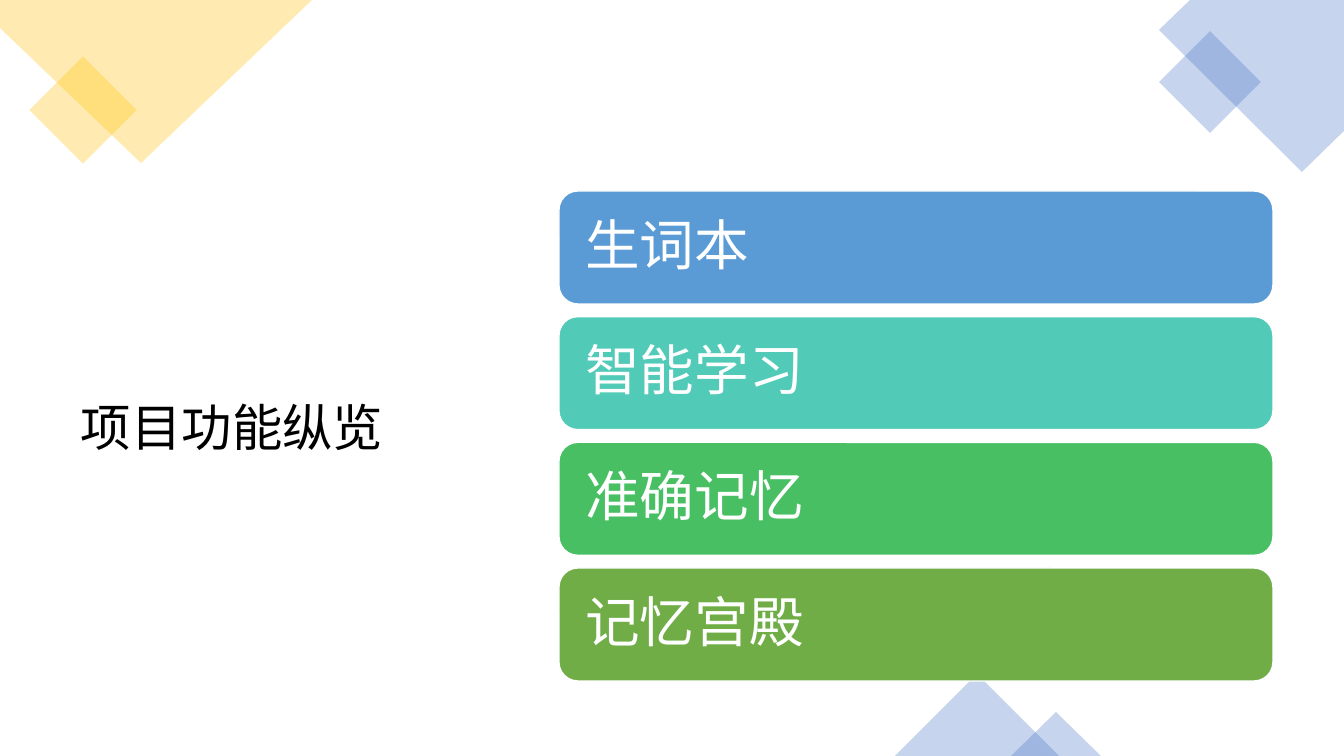
from dataclasses import dataclass

from lxml import etree
from pptx import Presentation
from pptx import util as u
from pptx.dml import color
from pptx.enum import shapes, text
from pptx.oxml import ns

PX = 914400 / 100.8


@dataclass(frozen=True)
class Theme:
    """Colours, font and type sizes of the slide."""
    font: str = "Noto Sans CJK SC"
    ink: str = "000000"
    white: str = "FFFFFF"
    gold: str = "FFC000"
    blue: str = "4472C4"
    bars: tuple = ("5B9BD5", "52CAB8", "49BF64", "70AD47")
    title: int = 36
    label: int = 39
    alpha: int = 30


T = Theme()
KIND = shapes.MSO_SHAPE


def emu(*vals):
    """Turn pixel lengths into EMU."""
    return [u.Emu(round(v * PX)) for v in vals]


def write(frame, words, size, tint, inset):
    """Set one left-aligned, middle-anchored line in a text frame."""
    frame.text = words
    frame.word_wrap = True
    frame.auto_size = text.MSO_AUTO_SIZE.NONE
    frame.vertical_anchor = text.MSO_ANCHOR.MIDDLE
    frame.margin_left = frame.margin_right = emu(inset)[0]
    para = frame.paragraphs[0]
    para.alignment = text.PP_ALIGN.LEFT
    para.line_spacing = 0.9
    font = para.runs[0].font
    font.name, font.size, font.bold = T.font, u.Pt(size), False
    font.color.rgb = color.RGBColor.from_string(tint)
    etree.SubElement(font._element, ns.qn("a:ea"), typeface=T.font)


def paint(shape, tint, alpha=100):
    """Give a shape a flat fill, without shadow or line."""
    shape.shadow.inherit = False
    shape.line.fill.background()
    shape.fill.solid()
    shape.fill.fore_color.rgb = color.RGBColor.from_string(tint)
    if alpha < 100:
        node = shape.fill._xPr.find(".//" + ns.qn("a:srgbClr"))
        etree.SubElement(node, ns.qn("a:alpha"), val=str(alpha * 1000))


def corner(slide, box, points, square, tint):
    """Draw a clear polygon with a small diamond over its edge."""
    left, top = box
    pen = slide.shapes.build_freeform(*points[0], scale=PX)
    pen.add_line_segments(points[1:], close=True)
    paint(pen.convert_to_shape(*emu(left, top)), tint, T.alpha)
    x, y, side = square
    gem = slide.shapes.add_shape(KIND.RECTANGLE, *emu(left + x, top + y, side, side))
    gem.rotation = 45
    paint(gem, tint, T.alpha)


def peaks(slide, box, parts):
    """Draw clear triangles that stand on the bottom of the box."""
    left, top, height = box
    for x, wide, tall in parts:
        peak = slide.shapes.add_shape(
            KIND.ISOSCELES_TRIANGLE, *emu(left + x, top + height - tall, wide, tall))
        paint(peak, T.blue, T.alpha)


def heading(slide, box, words):
    """Place and format the title."""
    title = slide.shapes.title
    title.left, title.top, title.width, title.height = emu(*box)
    write(title.text_frame, words, T.title, T.ink, 10)


def stack(slide, box, labels, tall):
    """Stack labelled bars evenly over the height of the box."""
    left, top, width, height = box
    step = (height - tall) / (len(labels) - 1)
    for row, (words, tint) in enumerate(zip(labels, T.bars)):
        bar = slide.shapes.add_shape(
            KIND.ROUNDED_RECTANGLE, *emu(left, top + row * step, width, tall))
        paint(bar, tint)
        bar.line.color.rgb = color.RGBColor.from_string(T.white)
        bar.line.width = u.Pt(1)
        write(bar.text_frame, words, T.label, T.white, 21)


def main():
    """Build and save the slide."""
    deck = Presentation()
    deck.slide_width, deck.slide_height = emu(1344, 756)
    slide = deck.slides.add_slide(deck.slide_layouts[5])
    heading(slide, (71, 187, 436, 486), "项目功能纵览")
    corner(slide, (0, 0), [(0, 0), (312, 0), (141, 163), (0, 28)],
           (45, 72, 76), T.gold)
    corner(slide, (1159, 0), [(31, 0), (185, 0), (185, 131), (143, 172), (0, 30)],
           (15, 46, 72), T.blue)
    peaks(slide, (895, 674, 82), [(0, 164, 82), (116, 90, 44)])
    stack(slide, (559, 191, 714, 490),
          ["生词本", "智能学习", "准确记忆", "记忆宫殿"], 113)
    deck.save("out.pptx")


main()
